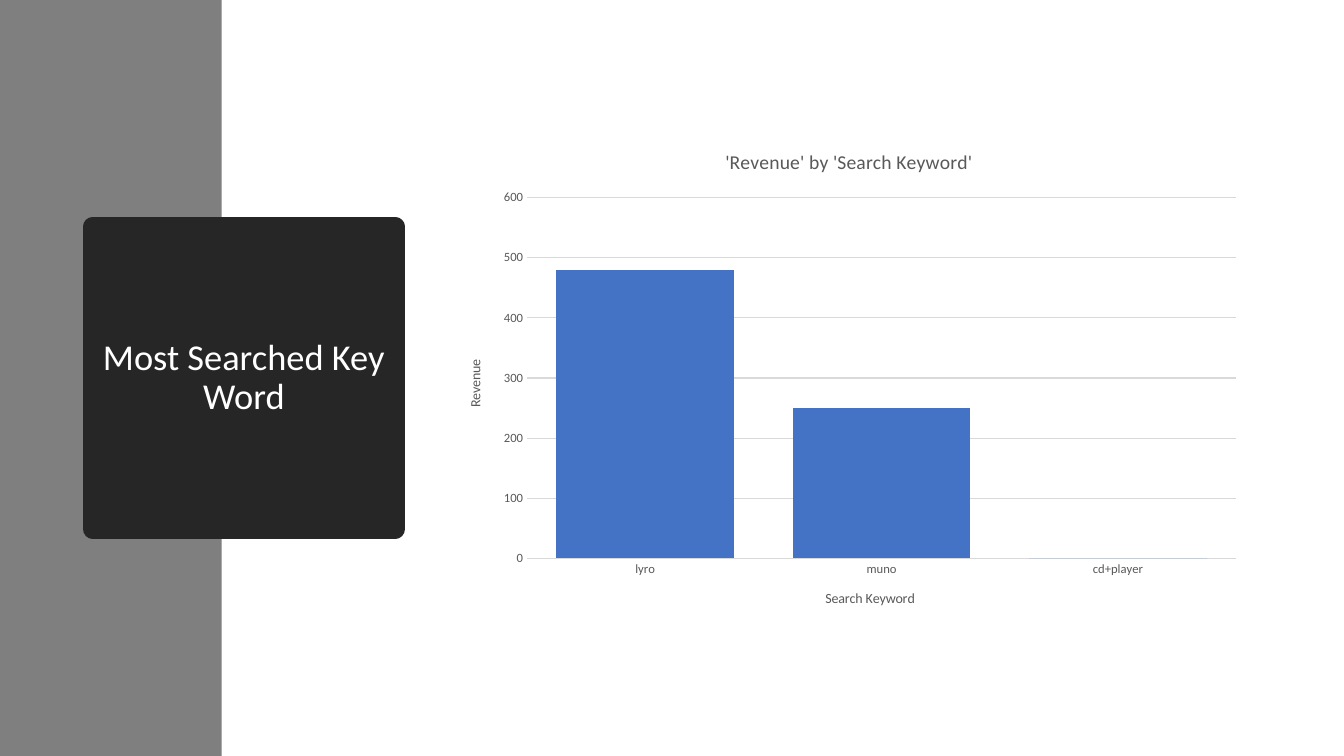
import pptx
import pptx.chart.data
import pptx.dml.color
import pptx.enum.chart
import pptx.enum.shapes
import pptx.enum.text
import pptx.oxml
import pptx.oxml.ns
import pptx.util
from pptx.util import Inches

FONT = "Calibri"
COLORS = {
    "band": "7F7F7F",
    "card": "262626",
    "card_text": "FFFFFF",
    "label": "595959",
    "grid": "D9D9D9",
    "bar": "4472C4",
}
REVENUE = {"lyro": 480, "muno": 250, "cd+player": 0}


def rgb(name):
    return pptx.dml.color.RGBColor.from_string(COLORS[name])


def style_font(font, size, color):
    font.name = FONT
    font.size = pptx.util.Pt(size)
    font.bold = False
    font.color.rgb = rgb(color)


def add_block(slide, box, color):
    block = slide.shapes.add_shape(
        pptx.enum.shapes.MSO_SHAPE.RECTANGLE, *map(Inches, box))
    block.shadow.inherit = False
    block.fill.solid()
    block.fill.fore_color.rgb = rgb(color)
    block.line.fill.background()
    return block


def add_title_card(slide, box, text):
    card = add_block(slide, box, "card")

    # Thick outline with round joins softens the corners
    card.line.color.rgb = rgb("card")
    card.line.width = pptx.util.Pt(13.75)
    card.line.fill.solid()
    card.line.color.rgb = rgb("card")
    outline = card.element.spPr.find(pptx.oxml.ns.qn("a:ln"))
    outline.append(pptx.oxml.parse_xml(
        f"<a:round {pptx.oxml.ns.nsdecls('a')}/>"))

    # Heading
    frame = card.text_frame
    frame.word_wrap = True
    frame.vertical_anchor = pptx.enum.text.MSO_ANCHOR.MIDDLE
    frame.margin_left = frame.margin_right = Inches(0.05)
    heading = frame.paragraphs[0]
    heading.alignment = pptx.enum.text.PP_ALIGN.CENTER
    heading.line_spacing = 0.9
    run = heading.add_run()
    run.text = text
    style_font(run.font, 26, "card_text")


def add_chart_label(owner, text, size):
    """Write the title of a chart or of one of its axes."""
    title = owner.chart_title if hasattr(owner, "chart_title") else owner.axis_title
    run = title.text_frame.paragraphs[0].add_run()
    run.text = text
    style_font(run.font, size, "label")


def add_revenue_chart(slide, box):
    data = pptx.chart.data.CategoryChartData()
    data.categories = list(REVENUE)
    data.add_series("Series 1", list(REVENUE.values()))
    chart = slide.shapes.add_chart(
        pptx.enum.chart.XL_CHART_TYPE.COLUMN_CLUSTERED,
        *map(Inches, box), data).chart
    style_font(chart.font, 10, "label")
    chart.has_legend = False
    add_chart_label(chart, "'Revenue' by 'Search Keyword'", 14)

    # Columns
    plot = chart.plots[0]
    plot.gap_width = 33
    plot.overlap = -30
    plot.vary_by_categories = False
    bars = plot.series[0].format.fill
    bars.solid()
    bars.fore_color.rgb = rgb("bar")

    # Axes
    keywords, revenue = chart.category_axis, chart.value_axis
    for axis, text in ((keywords, "Search Keyword"), (revenue, "Revenue")):
        axis.major_tick_mark = pptx.enum.chart.XL_TICK_MARK.NONE
        axis.minor_tick_mark = pptx.enum.chart.XL_TICK_MARK.NONE
        style_font(axis.tick_labels.font, 9, "label")
        add_chart_label(axis, text, 10)
    revenue.minimum_scale, revenue.maximum_scale = 0, 600
    revenue.major_unit = 100
    revenue.format.line.fill.background()
    for line in (keywords.format.line, revenue.major_gridlines.format.line):
        line.color.rgb = rgb("grid")
        line.width = pptx.util.Pt(0.75)


def main():
    deck = pptx.Presentation()
    deck.slide_width, deck.slide_height = Inches(13.33), Inches(7.5)
    slide = deck.slides.add_slide(deck.slide_layouts[6])
    add_block(slide, (0, 0, 2.2, 7.5), "band")
    add_title_card(slide, (0.92, 2.25, 3, 3), "Most Searched Key Word")
    add_revenue_chart(slide, (4.42, 1.28, 8, 4.95))
    deck.save("out.pptx")


if __name__ == "__main__":
    main()
